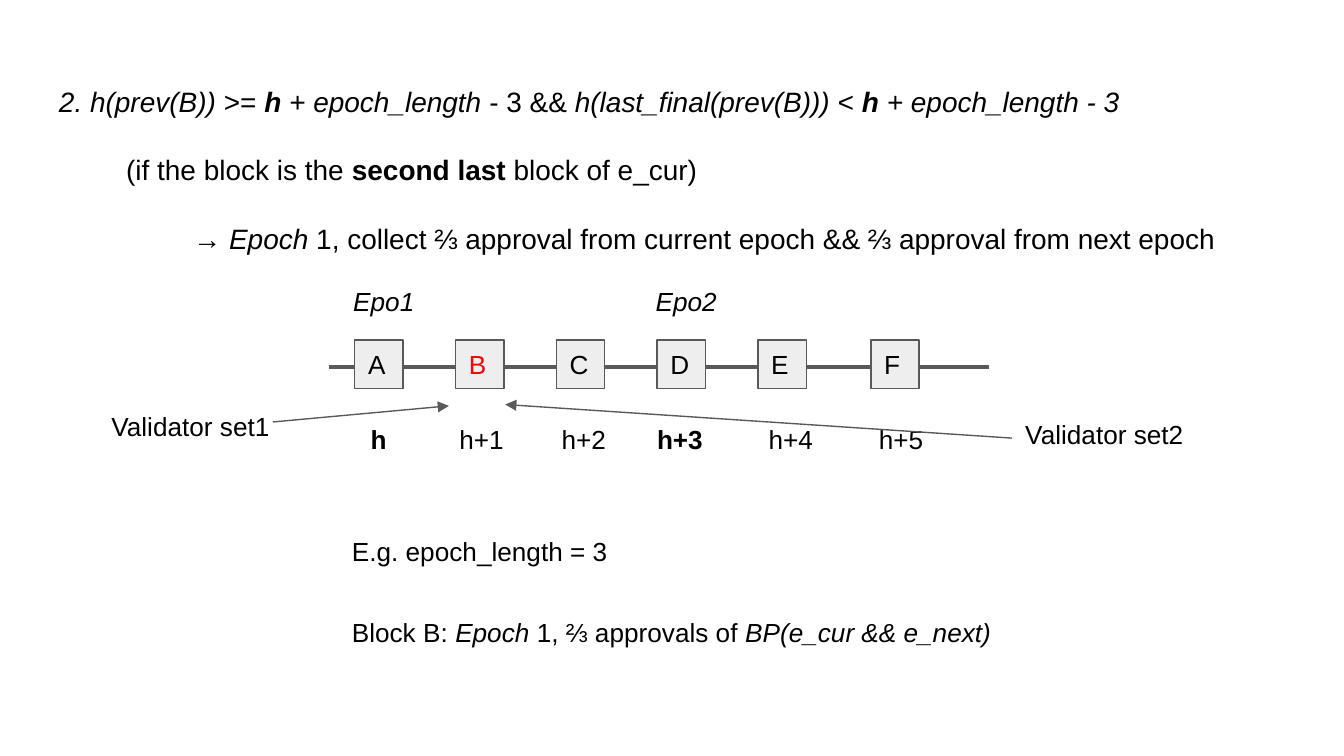
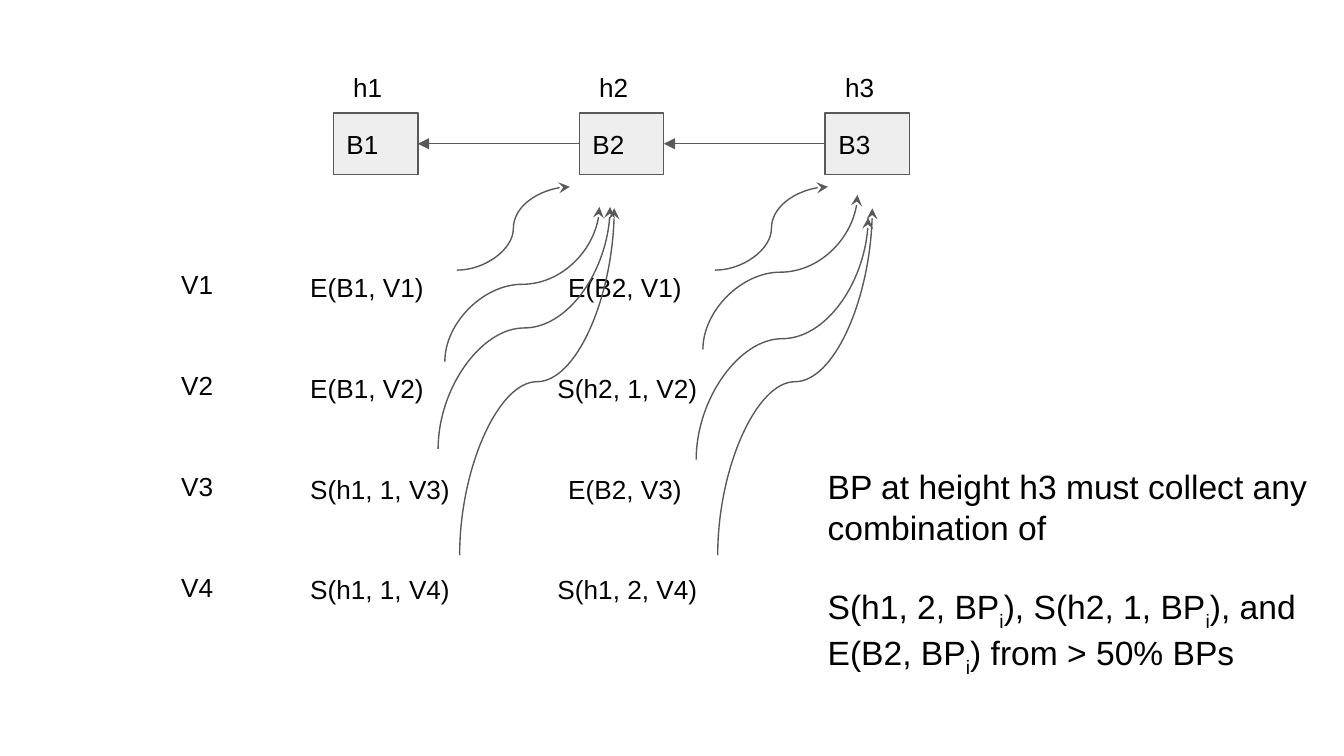
from lxml import etree
from pptx import Presentation
from pptx.dml.color import RGBColor
from pptx.enum.shapes import MSO_CONNECTOR, MSO_SHAPE
from pptx.enum.text import MSO_ANCHOR, PP_ALIGN
from pptx.oxml.ns import qn
from pptx.util import Inches, Pt

LINE, CURVE = MSO_CONNECTOR.STRAIGHT, MSO_CONNECTOR.CURVE
RECT = MSO_SHAPE.RECTANGLE
TOP, MIDDLE = MSO_ANCHOR.TOP, MSO_ANCHOR.MIDDLE
LEFT = PP_ALIGN.LEFT
HEX = {"ink": "000000", "red": "FF0000", "gray": "595959", "pale": "EEEEEE"}
RGB = {name: RGBColor.from_string(code) for name, code in HEX.items()}
FONT = "Arial"


def text(slide, at, paras, size=14, ink="ink", line=None, before=0,
         fill=None, tabs=()):
    """Add a text box, or a filled block. A paragraph is a string or a list of
    (words, style) runs, with style letters b(old), i(talic), s(ubscript)."""
    at = [Inches(v) for v in at]
    if fill:
        box = slide.shapes.add_shape(RECT, *at)
        box.shadow.inherit = False
        box.fill.solid()
        box.fill.fore_color.rgb = RGB[fill]
        box.line.color.rgb = RGB["gray"]
        box.line.width = Pt(0.75)
    else:
        box = slide.shapes.add_textbox(*at)
    frame = box.text_frame
    frame.word_wrap = True
    frame.vertical_anchor = MIDDLE if fill else TOP
    frame.margin_left = frame.margin_right = Inches(0.1)
    frame.margin_top = frame.margin_bottom = Inches(0.1)
    for n, runs in enumerate([paras] if isinstance(paras, str) else paras):
        para = frame.add_paragraph() if n else frame.paragraphs[0]
        if tabs:
            stops = etree.SubElement(para._p.get_or_add_pPr(), qn("a:tabLst"))
            for stop in tabs:
                etree.SubElement(stops, qn("a:tab"), algn="l",
                                 pos=str(Inches(stop)))
        para.alignment = LEFT
        if line:
            para.line_spacing = line
        if n and before:
            para.space_before = Pt(before)
        for words, style in [(runs, "")] if isinstance(runs, str) else runs:
            run = para.add_run()
            run.text = words
            run.font.name, run.font.size = FONT, Pt(size)
            run.font.color.rgb = RGB[ink]
            run.font.bold, run.font.italic = "b" in style, "i" in style
            if "s" in style:
                run._r.get_or_add_rPr().set("baseline", "-25000")
    return frame


def link(slide, start, end, kind=LINE, width=0.75, head=None, upright=False):
    """Add a line; an upright curve leaves and arrives vertically."""
    (x1, y1), (x2, y2) = start, end
    if upright:
        # Lay the curve flat about its centre, then turn it a quarter left.
        midx, midy = (x1 + x2) / 2, (y1 + y2) / 2
        halfw, halfh = (y1 - y2) / 2, (x2 - x1) / 2
        x1, x2 = midx - halfw, midx + halfw
        y1, y2 = midy - halfh, midy + halfh
    wire = slide.shapes.add_connector(
        kind, *[Inches(v) for v in (x1, y1, x2, y2)])
    wire.line.color.rgb = RGB["gray"]
    wire.line.width = Pt(width)
    props = wire._element.spPr
    if upright:
        props.find(qn("a:xfrm")).set("rot", "16200000")
    if head:
        etree.SubElement(props.find(qn("a:ln")), qn("a:tailEnd"), type=head)
    etree.SubElement(props, qn("a:effectLst"))


deck = Presentation()
deck.slide_width, deck.slide_height = Inches(10), Inches(5.625)
blank = deck.slide_layouts[6]

# Slide 1: the second last block of an epoch
chain = deck.slides.add_slide(blank)
rule = text(chain, (0.34, 0.49, 9.32, 0.63), [
    [("2. h(prev(B)) ", "i"), (">= ", ""), ("h", "bi"),
     (" + epoch_length", "i"), (" - 3 && ", ""),
     ("h(last_final(prev(B))) < ", "i"), ("h", "bi"),
     (" + epoch_length - 3", "i")],
    [("(if the block is the ", ""), ("second last", "b"),
     (" block of e_cur)", "")],
    [("→ ", ""), ("Epoch", "i"),
     (" 1, collect ⅔ approval from current epoch && "
      "⅔ approval from next epoch", "")],
], size=15, line=1.15, before=16)
rule.paragraphs[1]._p.get_or_add_pPr().set("indent", str(Inches(0.5)))
rule.paragraphs[2]._p.get_or_add_pPr().set("marL", str(Inches(1)))

link(chain, (2.45, 2.73), (7.36, 2.73), width=2.25)
text(chain, (1.95, 3.05, 6.09, 0.39),
     [[("\th", "b"), ("\th+1\th+2", ""), ("\th+3", "b"),
       ("\th+4\th+5", "")]],
     tabs=(0.71, 1.37, 2.13, 2.84, 3.67, 4.49))
SIDE, STEP = 0.36, 0.75
for n, name in enumerate("ABCDEF"):
    x = 6.48 if name == "F" else 2.64 + n * STEP
    text(chain, (x, 2.53, SIDE, SIDE), name, fill="pale",
         ink="red" if name == "B" else "ink")
for n, name in enumerate(("Epo1", "Epo2")):
    text(chain, (2.53 + 3 * n * STEP, 2.02, 0.78, 0.36), [[(name, "i")]])
case = text(chain, (2.52, 3.77, 5.3, 1.84), [
    "E.g. epoch_length = 3",
    [("Block B: ", ""), ("Epoch ", "i"), ("1, ⅔ approvals of ", ""),
     ("BP(e_cur && e_next)", "i")],
], line=1.5, before=24)
case.paragraphs[1].line_spacing = 1.15
for name, x, y, start, end in (
        ("Validator set1", 0.73, 2.95, (2.03, 3.14), (3.34, 3.02)),
        ("Validator set2", 7.53, 3.01, (7.53, 3.26), (3.76, 3.01))):
    text(chain, (x, y, 1.48, 0.51), name)
    link(chain, start, end, head="triangle")

# Slide 2: votes collected by each block
votes = deck.slides.add_slide(blank)
COL, ROW, WIDE = 1.83, 0.75, 0.63
for n in range(3):
    x = 2.48 + n * COL
    text(votes, (x, 0.84, WIDE, 0.46), f"B{n + 1}", fill="pale")
    text(votes, (x + 0.05, 0.43, 0.66, 0.25), f"h{n + 1}")
    if n:
        link(votes, (x, 1.07), (x - COL + WIDE, 1.07), head="triangle")

table = (("E(B1, V1)", "E(B2, V1)"), ("E(B1, V2)", "S(h2, 1, V2)"),
         ("S(h1, 1, V3)", "E(B2, V3)"), ("S(h1, 1, V4)", "S(h1, 2, V4)"))
for r, (first, second) in enumerate(table):
    y = r * ROW
    text(votes, (1.25, 1.9 + y, 0.91, 0.46), f"V{r + 1}")
    text(votes, (2.21, 1.92 + y, 1.54, 0.37), first)
    x = 4.05 if second.startswith("S") else 4.13
    text(votes, (x, 1.92 + y, 1.54, 0.37), second)

# Curves into B2; those into B3 sit SHIFT to the right, some moved by drop.
SHIFT = 1.92
curves = (((3.4, 2.01), (4.24, 1.39), 0), ((3.31, 2.69), (4.46, 1.54), -0.09),
          ((3.26, 3.34), (4.54, 1.54), 0.08), ((3.42, 4.13), (4.57, 1.55), 0))
for r, ((x1, y1), (x2, y2), drop) in enumerate(curves):
    for n in range(2):
        dx, dy = n * SHIFT, n * drop
        link(votes, (x1 + dx, y1 + dy), (x2 + dx, y2 + dy), kind=CURVE,
             head="stealth", upright=r > 0)

text(votes, (6.06, 3.37, 3.78, 2.15), [
    "BP at height h3 must collect any combination of",
    [("S(h1, 2, BP", ""), ("i", "s"), ("), S(h2, 1, BP", ""), ("i", "s"),
     ("), and E(B2, BP", ""), ("i", "s"), (") from > 50% BPs", "")],
], size=18, before=21)

deck.save("out.pptx")
